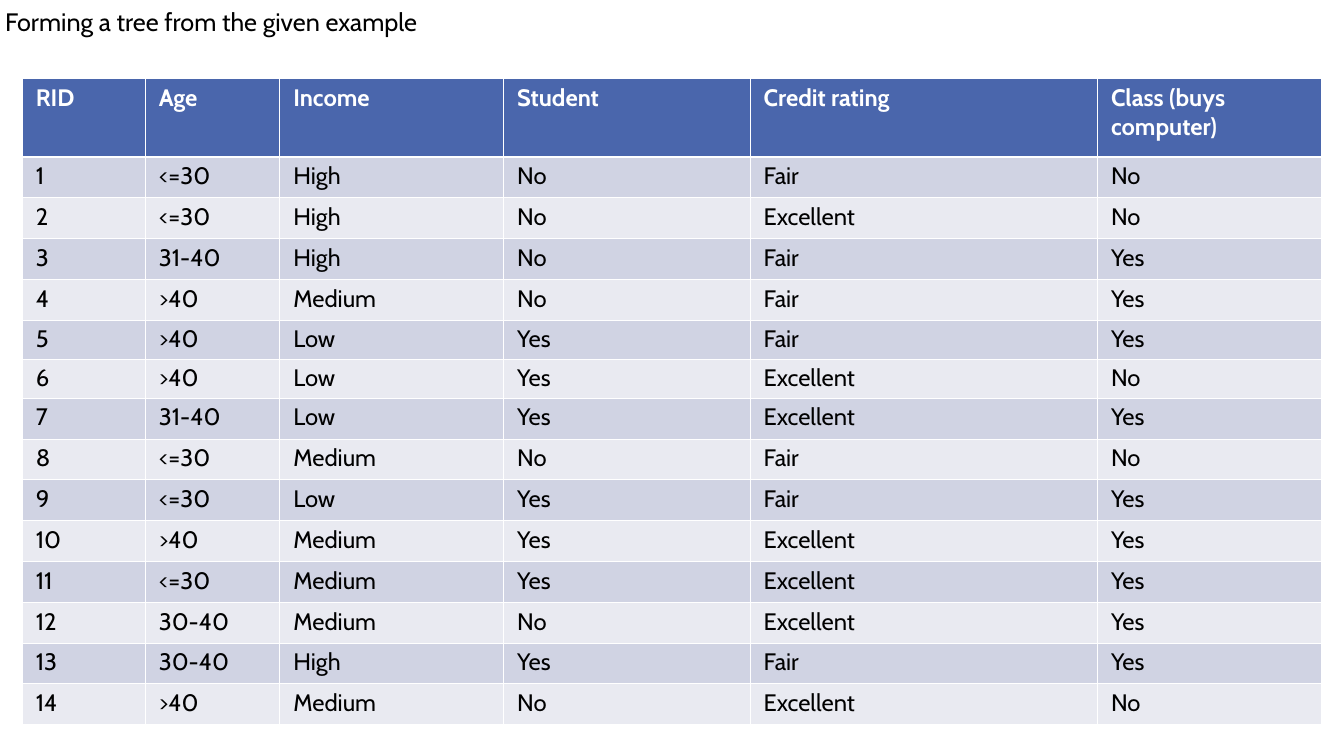
from dataclasses import dataclass, astuple

from lxml.etree import SubElement
from pptx import Presentation
from pptx.dml.color import RGBColor
from pptx.enum.text import MSO_ANCHOR, PP_ALIGN
from pptx.oxml.ns import qn
from pptx.util import Inches, Pt

FONT = "Cabin"
BLACK = RGBColor(0x00, 0x00, 0x00)
WHITE = RGBColor(0xFF, 0xFF, 0xFF)
HEADER_BLUE = RGBColor(0x4A, 0x66, 0xAC)
BAND_DARK = RGBColor(0xD0, 0xD3, 0xE3)
BAND_LIGHT = RGBColor(0xE9, 0xEA, 0xF1)

HEADERS = ("RID", "Age", "Income", "Student", "Credit rating", "Class (buys computer)")
COL_WIDTHS = (2.44, 2.67, 4.44, 4.89, 6.89, 4.44)
ROW_HEIGHTS = (1.55,) + (0.81,) * 4 + (0.73,) * 2 + (0.81,) * 8


@dataclass
class Customer:
    """One training example for the tree."""
    age: str
    income: str
    student: str
    credit: str
    buys: str


CUSTOMERS = (
    Customer("<=30", "High", "No", "Fair", "No"),
    Customer("<=30", "High", "No", "Excellent", "No"),
    Customer("31-40", "High", "No", "Fair", "Yes"),
    Customer(">40", "Medium", "No", "Fair", "Yes"),
    Customer(">40", "Low", "Yes", "Fair", "Yes"),
    Customer(">40", "Low", "Yes", "Excellent", "No"),
    Customer("31-40", "Low", "Yes", "Excellent", "Yes"),
    Customer("<=30", "Medium", "No", "Fair", "No"),
    Customer("<=30", "Low", "Yes", "Fair", "Yes"),
    Customer(">40", "Medium", "Yes", "Excellent", "Yes"),
    Customer("<=30", "Medium", "Yes", "Excellent", "Yes"),
    Customer("30-40", "Medium", "No", "Excellent", "Yes"),
    Customer("30-40", "High", "Yes", "Fair", "Yes"),
    Customer(">40", "Medium", "No", "Excellent", "No"),
)


def format_text(tf, size: float, color: RGBColor, bold: bool = False) -> None:
    """Format every run of a text frame and align it left."""
    for p in tf.paragraphs:
        p.alignment = PP_ALIGN.LEFT
        for r in p.runs:
            r.font.name = FONT
            r.font.size = Pt(size)
            r.font.bold = bold
            r.font.color.rgb = color


def set_borders(cell, top: float, bottom: float) -> None:
    """Give a cell white borders, 1 pt at the sides."""
    tc_pr = cell._tc.get_or_add_tcPr()
    for tag, width in (("a:lnL", 1), ("a:lnR", 1), ("a:lnT", top), ("a:lnB", bottom)):
        ln = SubElement(tc_pr, qn(tag), w=str(Pt(width)))
        fill = SubElement(ln, qn("a:solidFill"))
        SubElement(fill, qn("a:srgbClr"), val=str(WHITE))


def fill_cell(cell, text: str, row: int) -> None:
    """Write and style one cell according to its row."""
    header = row == 0
    cell.text_frame.text = text
    format_text(cell.text_frame, 34, WHITE if header else BLACK, header)
    cell.margin_left = cell.margin_right = Inches(0.27)
    cell.margin_top = cell.margin_bottom = Inches(0.1)
    set_borders(cell, top=3 if row == 1 else 1, bottom=3 if header else 1)
    cell.fill.solid()
    band = BAND_DARK if row % 2 else BAND_LIGHT
    cell.fill.fore_color.rgb = HEADER_BLUE if header else band


def add_title(s, text: str) -> None:
    """Place the slide title along the top edge."""
    sp = s.shapes.title
    sp.left, sp.top, sp.width, sp.height = Inches(0), Inches(0), Inches(23.99), Inches(0.93)
    tf = sp.text_frame
    tf.text = text
    tf.word_wrap = True
    tf.vertical_anchor = MSO_ANCHOR.MIDDLE
    tf.paragraphs[0].line_spacing = 0.9
    format_text(tf, 36, BLACK)


def add_customer_table(s) -> None:
    """Draw the numbered table of customers."""
    rows = [HEADERS] + [(str(i), *astuple(c)) for i, c in enumerate(CUSTOMERS, 1)]
    table = s.shapes.add_table(len(rows), len(HEADERS), Inches(0.44), Inches(1.56),
                               Inches(sum(COL_WIDTHS)), Inches(sum(ROW_HEIGHTS))).table
    for column, width in zip(table.columns, COL_WIDTHS):
        column.width = Inches(width)
    for i, (values, height) in enumerate(zip(rows, ROW_HEIGHTS)):
        table.rows[i].height = Inches(height)
        for j, value in enumerate(values):
            fill_cell(table.cell(i, j), value, i)


prs = Presentation()
prs.slide_width, prs.slide_height = Inches(26.66), Inches(15)
s = prs.slides.add_slide(prs.slide_layouts[5])
add_title(s, "Forming a tree from the given example")
add_customer_table(s)
prs.save("out.pptx")
